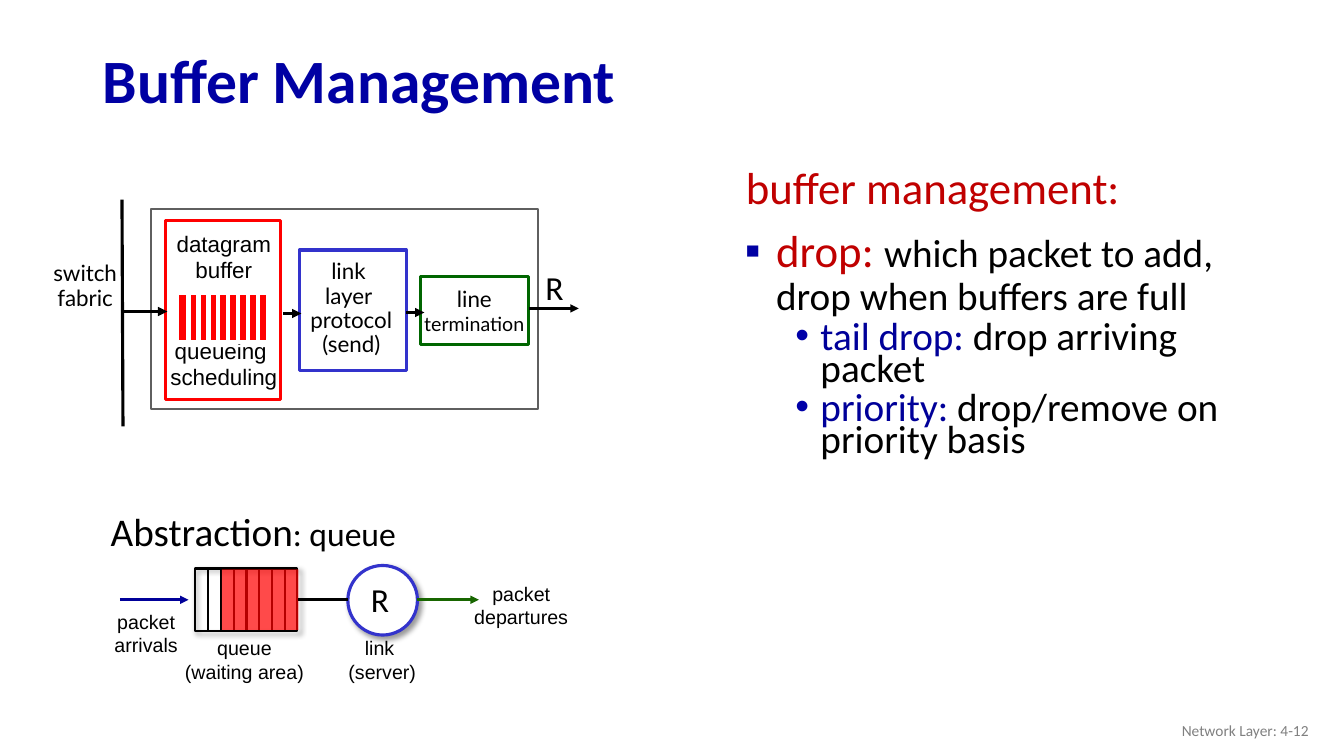
from dataclasses import dataclass

from lxml.etree import SubElement
from pptx import Presentation
from pptx.dml.color import RGBColor
from pptx.enum.shapes import MSO_CONNECTOR as CONN, MSO_SHAPE as SHAPE
from pptx.enum.text import MSO_ANCHOR as ANCHOR, PP_ALIGN as ALIGN
from pptx.oxml.ns import qn
from pptx.util import Inches, Length, Pt

BLACK = RGBColor(0x00, 0x00, 0x00)
WHITE = RGBColor(0xFF, 0xFF, 0xFF)
NAVY = RGBColor(0x00, 0x00, 0xA3)
BULLET_BLUE = RGBColor(0x00, 0x00, 0xA8)
TERM_BLUE = RGBColor(0x00, 0x00, 0x99)
BOX_BLUE = RGBColor(0x33, 0x33, 0xCC)
CRIMSON = RGBColor(0xC0, 0x00, 0x00)
RED = RGBColor(0xFF, 0x00, 0x00)
GREEN = RGBColor(0x00, 0x66, 0x00)
EXIT_GREEN = RGBColor(0x18, 0x66, 0x00)
FRAME_GRAY = RGBColor(0x5F, 0x5F, 0x5F)
FOOTER_GRAY = RGBColor(0x80, 0x80, 0x80)

Box = tuple[float, float, float, float]


@dataclass
class Block:
    """A rectangle or ellipse; alpha is the fill's opacity in percent."""
    box: Box
    fill: RGBColor | None = WHITE
    line: RGBColor | None = None
    width: float = 2.25
    kind: SHAPE = SHAPE.RECTANGLE
    alpha: int = 100
    shadow: bool = False


@dataclass
class Line:
    start: tuple[float, float]
    end: tuple[float, float]
    color: RGBColor = BLACK
    width: float = 2.25
    arrow: bool = False


@dataclass
class Label:
    """Centred lines of text that do not wrap."""
    box: Box
    lines: tuple[str, ...]
    size: float = 14
    font: str = "Arial"
    spacing: float = 1.0
    anchor: ANCHOR = ANCHOR.TOP


def add_block(slide, b: Block):
    sp = slide.shapes.add_shape(b.kind, *map(Inches, b.box))
    sp.shadow.inherit = False
    if b.fill is None:
        sp.fill.background()
    else:
        sp.fill.solid()
        sp.fill.fore_color.rgb = b.fill
    if b.alpha < 100:
        color = sp._element.spPr.find(qn("a:solidFill"))[0]
        SubElement(color, qn("a:alpha"), val=str(b.alpha * 1000))
    if b.line is None:
        sp.line.fill.background()
    else:
        sp.line.color.rgb = b.line
        sp.line.width = Pt(b.width)
    if b.shadow:
        effects = sp._element.spPr.find(qn("a:effectLst"))
        outer = SubElement(effects, qn("a:outerShdw"), blurRad=str(Pt(4)),
                           dist=str(Pt(3)), dir=str(45 * 60000))
        color = SubElement(outer, qn("a:srgbClr"), val=str(BLACK))
        SubElement(color, qn("a:alpha"), val="40000")
    return sp


def add_line(slide, ln: Line) -> None:
    cx = slide.shapes.add_connector(CONN.STRAIGHT, *map(Inches, ln.start + ln.end))
    cx.line.color.rgb = ln.color
    cx.line.width = Pt(ln.width)
    if ln.arrow:
        SubElement(cx.line._get_or_add_ln(), qn("a:tailEnd"), type="triangle")
    SubElement(cx._element.spPr, qn("a:effectLst"))


def add_box(slide, box: Box, anchor: ANCHOR = ANCHOR.TOP, wrap: bool = True):
    tf = slide.shapes.add_textbox(*map(Inches, box)).text_frame
    tf.word_wrap = wrap
    tf.vertical_anchor = anchor
    return tf


def add_run(p, text: str, *, size: float, font: str = "Calibri",
            color: RGBColor = BLACK, bold: bool = False) -> None:
    r = p.add_run()
    r.text = text
    r.font.size, r.font.name, r.font.bold = Pt(size), font, bold
    r.font.color.rgb = color


def add_par(tf, *, align: ALIGN = ALIGN.LEFT, spacing: float | Length = 1.0,
            before: float = 0, level: int = 0, left: float = 0, first: float = 0,
            bullet: str = "", bullet_color: RGBColor = BLACK):
    p = tf.paragraphs[0] if not tf.paragraphs[0].runs else tf.add_paragraph()
    p.alignment, p.line_spacing, p.level = align, spacing, level
    p.space_before = Pt(before)
    pPr = p._p.get_or_add_pPr()
    pPr.set("marL", str(Inches(left)))
    pPr.set("indent", str(Inches(first)))
    if bullet:
        color = SubElement(pPr, qn("a:buClr"))
        SubElement(color, qn("a:srgbClr"), val=str(bullet_color))
        SubElement(pPr, qn("a:buFont"), typeface="Arial")
        SubElement(pPr, qn("a:buChar"), char=bullet)
    return p


def add_label(slide, lb: Label):
    tf = add_box(slide, lb.box, lb.anchor, wrap=False)
    tf.margin_left = tf.margin_right = 0
    for text in lb.lines:
        p = add_par(tf, align=ALIGN.CENTER, spacing=lb.spacing)
        add_run(p, text, size=lb.size, font=lb.font)
    return tf


def add_heading(slide) -> None:
    tf = add_box(slide, (0.92, 0.34, 11.5, 0.98), ANCHOR.MIDDLE)
    add_run(add_par(tf, spacing=0.9), "Buffer Management", size=44, color=NAVY, bold=True)
    tf = add_box(slide, (10.08, 7.05, 3, 0.4), ANCHOR.MIDDLE)
    add_run(add_par(tf, align=ALIGN.RIGHT), "Network Layer: 4-12", size=11, color=FOOTER_GRAY)


def add_body(slide) -> None:
    tf = add_box(slide, (7.28, 1.6, 5.43, 5.48))
    p = add_par(tf, spacing=0.9, before=10, left=0.26, first=-0.24)
    add_run(p, "buffer management:", size=32, color=CRIMSON)
    p = add_par(tf, spacing=0.9, before=10, left=0.32, first=-0.31,
                bullet="▪", bullet_color=NAVY)
    add_run(p, "drop: ", size=32, color=CRIMSON)
    add_run(p, "which packet to add, drop when buffers are full", size=28)
    for term, meaning in (("tail drop: ", "drop arriving packet"),
                          ("priority: ", "drop/remove on priority basis")):
        p = add_par(tf, spacing=Pt(22.8), before=5, level=1, left=0.76, first=-0.25,
                    bullet="•", bullet_color=BULLET_BLUE)
        add_run(p, term, size=28, color=TERM_BLUE)
        add_run(p, meaning, size=28)


def add_rate(slide, x: float, y: float) -> None:
    add_run(add_par(add_box(slide, (x, y, 0.38, 0.5), wrap=False)), "R", size=24)


def add_output_port(slide) -> None:
    # Frame, line termination and link layer
    add_block(slide, Block((1.5, 2.07, 3.84, 1.99), line=FRAME_GRAY, width=1.5))
    add_block(slide, Block((4.17, 2.74, 1.07, 0.68), line=GREEN))
    tf = add_label(slide, Label((4.17, 2.74, 1.07, 0.68), ("line", "termination"),
                                16, "Lato", anchor=ANCHOR.MIDDLE))
    tf.paragraphs[1].runs[0].font.size = Pt(14)
    add_block(slide, Block((2.97, 2.48, 1.06, 1.2), line=BOX_BLUE))
    for x, y in ((2.81, 3.11), (4.03, 3.1)):
        add_line(slide, Line((x, y), (x + 0.18, y), arrow=True))
    for x, y, lines in ((3, 2.64, ("link ", "layer ", "protocol", "(send)")),
                        (0.36, 2.42, ("switch", "fabric"))):
        add_label(slide, Label((x, y, 0.97, 0.85), lines, 16, "Lato", 0.9, ANCHOR.MIDDLE))

    # Datagram buffer
    add_block(slide, Block((1.64, 2.19, 1.14, 1.77), line=RED))
    tf = add_label(slide, Label((1.57, 2.23, 1.3, 1.72),
                                ("datagram", "buffer", "queueing ", "scheduling"), 16))
    tf.paragraphs[2].space_before = Pt(38)
    add_block(slide, Block((1.75, 2.91, 0.91, 0.48), RED, WHITE, 3))
    for i in range(8):
        x = 1.87 + i * 0.69 / 7
        add_line(slide, Line((x, 2.92), (x, 3.38), WHITE, 3))

    # Switch fabric and outgoing link
    add_line(slide, Line((1.21, 1.98), (1.22, 4.23)))
    add_line(slide, Line((1.2, 3.09), (1.66, 3.09), arrow=True))
    add_line(slide, Line((5.25, 3.06), (5.74, 3.06), width=2, arrow=True))
    add_rate(slide, 5.31, 2.6)


def add_queue_model(slide) -> None:
    # Queue with its slots, and server
    add_block(slide, Block((1.93, 5.64, 1.02, 0.62), None, BLACK, 1.5, shadow=True))
    for i in range(7):
        x = 2.06 + i * 0.77 / 6
        add_line(slide, Line((x, 5.64), (x, 6.25), width=1.5))
    add_block(slide, Block((2.2, 5.65, 0.76, 0.6), RED, alpha=71))
    add_block(slide, Block((3.45, 5.61, 0.69, 0.69), line=BOX_BLUE,
                           kind=SHAPE.OVAL, shadow=True))

    # Flow through the queue
    for x1, x2, color, arrow in ((1.19, 1.87, TERM_BLUE, True), (2.96, 3.45, BLACK, False),
                                 (4.14, 4.75, EXIT_GREEN, True)):
        add_line(slide, Line((x1, 5.95), (x2, 5.95), color, 2, arrow))

    # Captions
    for x, y, w, lines in ((1.73, 6.26, 1.39, ("queue", "(waiting area)")),
                           (1.03, 6, 0.84, ("packet", "arrivals")),
                           (4.6, 5.72, 1.14, ("packet", "departures")),
                           (3.3, 6.26, 0.93, ("link", " (server)"))):
        add_label(slide, Label((x, y, w, 0.57), lines))
    p = add_par(add_box(slide, (1, 4.98, 3.07, 0.57), wrap=False))
    add_run(p, "Abstraction", size=28)
    add_run(p, ": queue", size=24)
    add_rate(slide, 3.58, 5.69)


def main() -> None:
    prs = Presentation()
    prs.slide_width, prs.slide_height = Inches(13.33), Inches(7.5)
    slide = prs.slides.add_slide(prs.slide_layouts[6])
    for draw in (add_heading, add_body, add_output_port, add_queue_model):
        draw(slide)
    prs.save("out.pptx")


if __name__ == "__main__":
    main()
